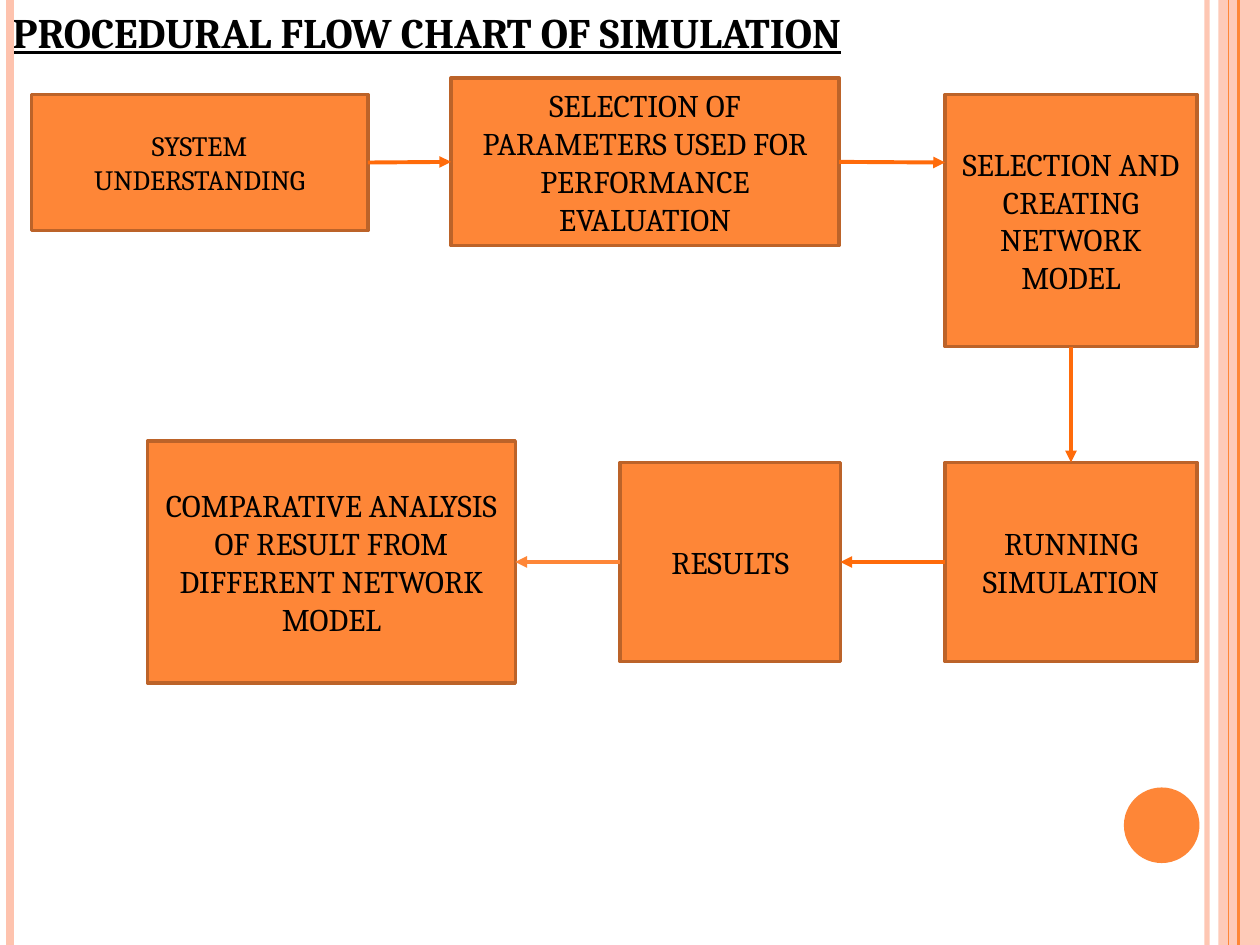
"""Build a slide with the procedural flow chart of a simulation."""
from lxml.etree import SubElement
from pptx import Presentation
from pptx.dml.color import RGBColor
from pptx.enum.shapes import MSO_CONNECTOR as LineKind, MSO_SHAPE as Shape
from pptx.enum.text import MSO_ANCHOR as Anchor, MSO_AUTO_SIZE as AutoSize, PP_ALIGN as Align
from pptx.oxml.ns import qn
from pptx.util import Inches, Pt

ORANGE, PALE, EDGE, ARROW = "FE8637", "FEC3AE", "BC6329", "FF6B0A"
TOP, LEFT, BOTTOM, RIGHT = range(4)


def paint(fill, colour):
    fill.solid()
    fill.fore_color.rgb = RGBColor.from_string(colour)


def write(frame, text, size=18, align=Align.CENTER, anchor=Anchor.MIDDLE,
          bold=False, underline=False, before=0):
    frame.word_wrap = True
    frame.auto_size = AutoSize.NONE
    frame.vertical_anchor = anchor
    paragraph = frame.paragraphs[0]
    paragraph.alignment = align
    paragraph.space_before = Pt(before)
    run = paragraph.add_run()
    run.text = text
    run.font.name = "Cambria"
    run.font.size = Pt(size)
    run.font.bold = bold
    run.font.underline = underline
    paint(run.font.fill, "000000")


deck = Presentation()
deck.slide_width, deck.slide_height = Inches(10), Inches(7.5)
slide = deck.slides.add_slide(deck.slide_layouts[5])
shapes = slide.shapes

heading = shapes.title
heading.left, heading.top = Inches(0), Inches(0)
heading.width, heading.height = Inches(9.92), Inches(7.5)
write(heading.text_frame, "PROCEDURAL FLOW CHART OF SIMULATION", size=24, align=Align.LEFT,
      anchor=Anchor.TOP, bold=True, underline=True, before=6)

side_band = shapes.add_shape(Shape.RECTANGLE, Inches(9.67), 0, Inches(0.33), Inches(7.5))
paint(side_band.fill, PALE)
band_colour = next(side_band.element.spPr.iter(qn("a:srgbClr")))
SubElement(band_colour, qn("a:alpha"), val="87000")

corner_dot = shapes.add_shape(Shape.OVAL, Inches(8.92), Inches(6.25), Inches(0.6), Inches(0.6))
paint(corner_dot.fill, ORANGE)
for ornament in (side_band, corner_dot):
    ornament.line.fill.background()
    ornament.shadow.inherit = False

lines = []
for x, colour, weight, opacity in [
    (9.58, PALE, 3, 93),
    (0.08, PALE, 4.5, 100),
    (9.83, ORANGE, 1.5, 100),
    (9.75, ORANGE, 0.75, 100),
]:
    rule = shapes.add_connector(LineKind.STRAIGHT, Inches(x), 0, Inches(x), Inches(7.5))
    paint(rule.line.fill, colour)
    rule.line.width = Pt(weight)
    if opacity < 100:
        rule_colour = next(rule.element.spPr.iter(qn("a:srgbClr")))
        SubElement(rule_colour, qn("a:alpha"), val=str(opacity * 1000))
    lines.append(rule)

steps = []
for text, size, *place in [
    ("SYSTEM UNDERSTANDING", 16, 0.25, 0.75, 2.67, 1.08),
    ("SELECTION OF PARAMETERS USED FOR PERFORMANCE EVALUATION", 18, 3.58, 0.62, 3.08, 1.33),
    ("SELECTION AND CREATING NETWORK MODEL", 18, 7.5, 0.75, 2, 2),
    ("RUNNING SIMULATION", 18, 7.5, 3.67, 2, 1.58),
    ("RESULTS", 18, 4.92, 3.67, 1.75, 1.58),
    ("COMPARATIVE ANALYSIS OF RESULT FROM DIFFERENT NETWORK MODEL", 18, 1.17, 3.5, 2.92, 1.92),
]:
    step = shapes.add_shape(Shape.RECTANGLE, *map(Inches, place))
    step.shadow.inherit = False
    paint(step.fill, ORANGE)
    paint(step.line.fill, EDGE)
    step.line.width = Pt(2)
    write(step.text_frame, text, size=size)
    steps.append(step)

understanding, parameters, model, running, results, analysis = steps
for source, exit_side, target, entry_side, end, colour in [
    (understanding, RIGHT, parameters, LEFT, None, ARROW),
    (parameters, RIGHT, model, None, (7.5, 1.29), ARROW),
    (model, BOTTOM, running, TOP, None, ARROW),
    (running, LEFT, results, RIGHT, None, ARROW),
    (results, LEFT, analysis, RIGHT, None, ORANGE),
]:
    arrow = shapes.add_connector(LineKind.STRAIGHT, *map(Inches, (end or (0, 0)) * 2))
    arrow.begin_connect(source, exit_side)
    if end is None:
        arrow.end_connect(target, entry_side)
    paint(arrow.line.fill, colour)
    arrow.line.width = Pt(2.25)
    SubElement(arrow.line._get_or_add_ln(), qn("a:tailEnd"), type="triangle")
    lines.append(arrow)

for line in lines:
    SubElement(line.element.spPr, qn("a:effectLst"))

deck.save("out.pptx")
